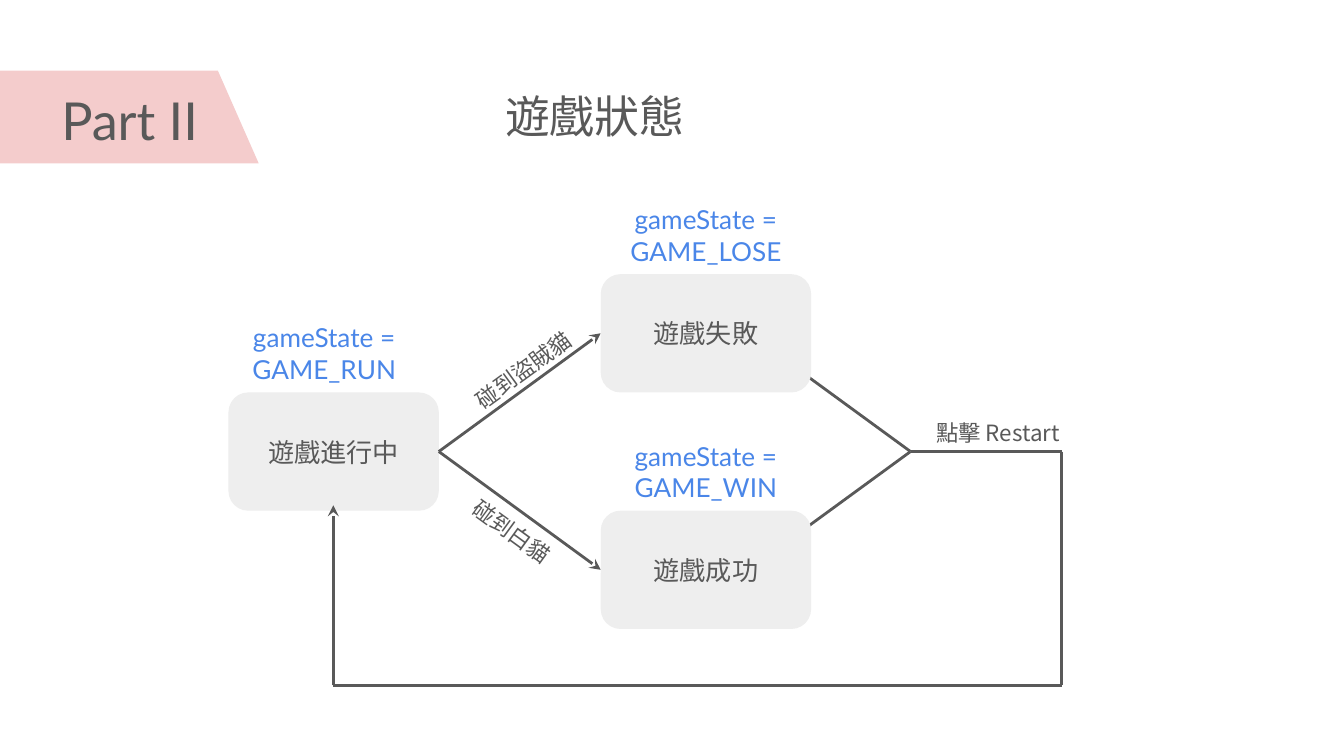
from dataclasses import dataclass

from lxml.etree import SubElement
from pptx import Presentation
from pptx.dml.color import RGBColor
from pptx.enum.shapes import MSO_CONNECTOR, MSO_SHAPE
from pptx.enum.text import MSO_ANCHOR, MSO_AUTO_SIZE, PP_ALIGN
from pptx.oxml.ns import qn
from pptx.util import Emu, Pt

PX = 4572
INK, BLUE, GRAY, PINK = "595959", "4A86E8", "EEEEEE", "F4CCCC"
LATIN, HAN = "Lato", "Noto Sans CJK TC"
BOX_W, BOX_H, CAPTION_H = 313, 176, 125


@dataclass
class State:
    """A game state box with its caption."""
    name: str
    value: str
    x: int
    y: int
    caption_x: int


@dataclass
class Label:
    """A text beside a transition line."""
    text: str
    x: int
    y: int
    w: int
    h: int
    angle: int = 0


@dataclass
class Line:
    """A straight line, with an arrowhead at its end if wanted."""
    x1: int
    y1: int
    x2: int
    y2: int
    arrow: bool = False


RUN = State("遊戲進行中", "GAME_RUN", 340, 584, 326)
LOSE = State("遊戲失敗", "GAME_LOSE", 894, RUN.y - BOX_H, 894)
WIN = State("遊戲成功", "GAME_WIN", 894, RUN.y + BOX_H, 894)
MID_Y = RUN.y + BOX_H // 2
FORK_X, MERGE_X, RIGHT_X, BOTTOM_Y = RUN.x + BOX_W, 1355, 1580, 1020
RETURN_X = RUN.x + BOX_W // 2

LINES = [
    Line(MERGE_X, MID_Y, RIGHT_X, MID_Y),
    Line(RETURN_X, BOTTOM_Y, RIGHT_X, BOTTOM_Y),
    Line(RIGHT_X, MID_Y, RIGHT_X, BOTTOM_Y),
    Line(RETURN_X, BOTTOM_Y, RETURN_X, 752, True),
]
for end in (LOSE, WIN):
    end_y = end.y + BOX_H // 2
    LINES.append(Line(FORK_X, MID_Y, end.x, end_y, True))
    LINES.append(Line(MERGE_X, MID_Y, 1114, end_y))

LABELS = [
    Label("碰到盜賊貓", 660, 512, 230, 66, -36),
    Label("碰到白貓", 678, 752, 176, 66, 36),
    Label("點擊 Restart ", 1368, 604, 242, 70),
]


def color(value: str) -> RGBColor:
    """Turn a hex string into a colour."""
    return RGBColor.from_string(value)


def px(*values: int) -> list[Emu]:
    """Turn px lengths into EMU."""
    return [Emu(v * PX) for v in values]


def write(sp, text: str, size: int, ink: str = INK, anchor=MSO_ANCHOR.TOP) -> None:
    """Put one centred run of text into a shape."""
    tf = sp.text_frame
    tf.word_wrap = True
    tf.auto_size = MSO_AUTO_SIZE.NONE
    tf.vertical_anchor = anchor
    tf.margin_left, tf.margin_top, tf.margin_right, tf.margin_bottom = px(20, 20, 20, 20)
    p = tf.paragraphs[0]
    p.alignment = PP_ALIGN.CENTER
    r = p.add_run()
    r.text = text
    r.font.size = Pt(size)
    r.font.color.rgb = color(ink)
    r.font.name = LATIN if text.isascii() else HAN
    SubElement(r.font._element, qn("a:ea"), typeface=r.font.name)


def add_text(s, text: str, x: int, y: int, w: int, h: int, size: int, ink: str = INK):
    """Add a text box."""
    sp = s.shapes.add_textbox(*px(x, y, w, h))
    write(sp, text, size, ink)
    return sp


def add_filled(s, kind, x: int, y: int, w: int, h: int, fill: str):
    """Add a preset shape with a plain fill and no outline."""
    sp = s.shapes.add_shape(kind, *px(x, y, w, h))
    sp.shadow.inherit = False
    sp.fill.solid()
    sp.fill.fore_color.rgb = color(fill)
    sp.line.fill.background()
    return sp


def add_state(s, state: State) -> None:
    """Draw a state box and the caption above it."""
    sp = add_filled(s, MSO_SHAPE.ROUNDED_RECTANGLE, state.x, state.y, BOX_W, BOX_H, GRAY)
    write(sp, state.name, 14, anchor=MSO_ANCHOR.MIDDLE)
    add_text(s, f"gameState = {state.value}", state.caption_x, state.y - CAPTION_H,
             BOX_W, CAPTION_H, 14, BLUE)


def add_line(s, line: Line) -> None:
    """Draw a transition line."""
    cx = s.shapes.add_connector(MSO_CONNECTOR.STRAIGHT,
                                *px(line.x1, line.y1, line.x2, line.y2))
    cx.line.color.rgb = color(INK)
    cx.line.width = Pt(1.5)
    if line.arrow:
        SubElement(cx.line._get_or_add_ln(), qn("a:tailEnd"), type="stealth")
    SubElement(cx._element.spPr, qn("a:effectLst"))


def add_label(s, label: Label) -> None:
    """Draw a transition label."""
    sp = add_text(s, label.text, label.x, label.y, label.w, label.h, 12)
    sp.rotation = label.angle


def main() -> None:
    """Build the slide."""
    prs = Presentation()
    prs.slide_width, prs.slide_height = px(2000, 1125)
    s = prs.slides.add_slide(prs.slide_layouts[5])

    title = s.shapes.title
    title.left, title.top, title.width, title.height = px(286, 112, 1198, 126)
    write(title, "遊戲狀態", 24)

    tag = add_filled(s, MSO_SHAPE.TRAPEZOID, -66, 105, 451, 138, PINK)
    tag.adjustments[0] = 0.44
    add_text(s, "Part II", 40, 112, 306, 126, 28)

    add_state(s, RUN)
    for line in LINES:
        add_line(s, line)
    for label in LABELS:
        add_label(s, label)
    for state in (LOSE, WIN):
        add_state(s, state)

    prs.save("out.pptx")


if __name__ == "__main__":
    main()
